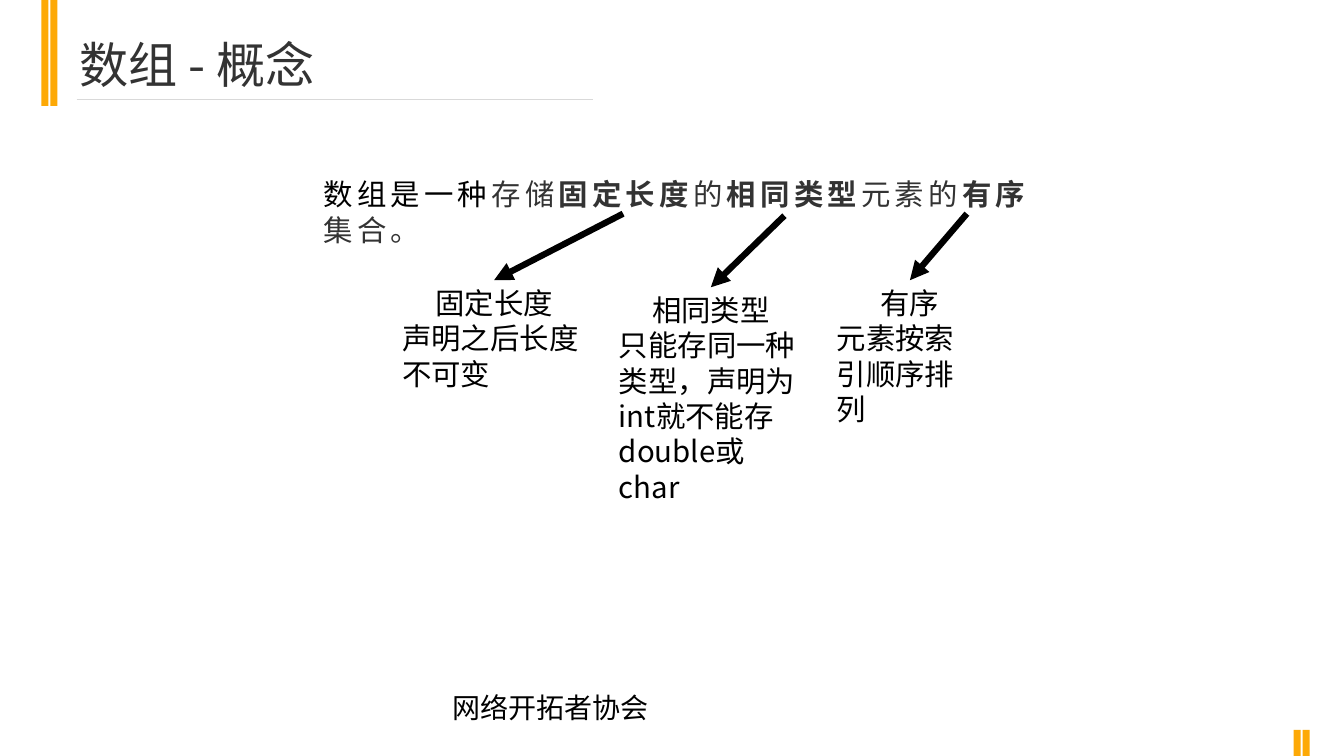
from lxml.etree import SubElement
from pptx import Presentation
from pptx.dml.color import RGBColor
from pptx.enum.shapes import MSO_CONNECTOR as Connector, MSO_SHAPE as Shape
from pptx.enum.text import MSO_ANCHOR as Anchor, MSO_AUTO_SIZE as AutoSize, PP_ALIGN as Align
from pptx.oxml.ns import qn
from pptx.util import Inches, Pt

FONT = "Noto Sans CJK SC"
COLORS = {"text": "000000", "title": "333333", "accent": "FDA907", "rule": "D9D9D9"}
TITLE = "数组 - 概念"
FOOTER = "网络开拓者协会"
DEFINITION = [
    ("数组是一种", "text", False, 3),
    ("存储", "title", False, 3),
    ("固定长度", "title", True, 3),
    ("的", "title", False, 3),
    ("相同类型", "title", True, 3),
    ("元素的", "title", False, 3),
    ("有序", "title", True, 3),
    ("集合", "title", False, 3),
    ("。", "title", False, 0),
]
NOTES = [
    ("固定长度", "声明之后长度不可变", (3.89, 2.78, 2.02, 1.16), (6.18, 2.12)),
    ("相同类型", "只能存同一种类型，声明为int就不能存double或char", (6.04, 2.85, 2.02, 2.22), (7.78, 2.14)),
    ("有序", "元素按索引顺序排列", (8.2, 2.78, 1.65, 1.51), (9.59, 2.12)),
]
BAR_WIDTH = 0.07
BARS = [(0.41, 0, 1.05, 0), (0.5, 0, 1.05, 0), (12.92, 7.24, 0.26, 180), (12.83, 7.24, 0.26, 180)]


def color(name):
    return RGBColor.from_string(COLORS[name])


def add_run(paragraph, text, size, color_name="text", bold=False, spacing=0):
    run = paragraph.add_run()
    run.text = text
    run.font.size = Pt(size)
    run.font.bold = bold
    run.font.color.rgb = color(color_name)
    run.font.name = FONT
    properties = run._r.get_or_add_rPr()
    SubElement(properties, qn("a:ea")).set("typeface", FONT)
    if spacing:
        properties.set("spc", str(spacing * 100))


def add_text_box(slide, box, auto_size=AutoSize.SHAPE_TO_FIT_TEXT):
    shape = slide.shapes.add_textbox(*map(Inches, box))
    shape.text_frame.word_wrap = True
    shape.text_frame.auto_size = auto_size
    return shape


def add_line(slide, start, end, color_name, width):
    line = slide.shapes.add_connector(Connector.STRAIGHT, *map(Inches, start + end))
    line.line.color.rgb = color(color_name)
    line.line.width = Pt(width)
    SubElement(line._element.spPr, qn("a:effectLst"))
    return line


def add_frame(slide):
    footer = add_text_box(slide, (4.39, 6.8, 3.82, 0.44))
    add_run(footer.text_frame.paragraphs[0], FOOTER, 20)
    for left, top, height, rotation in BARS:
        bar = slide.shapes.add_shape(Shape.RECTANGLE, *map(Inches, (left, top, BAR_WIDTH, height)))
        bar.rotation = rotation
        bar.shadow.inherit = False
        bar.fill.solid()
        bar.fill.fore_color.rgb = color("accent")
        bar.line.fill.background()
    add_line(slide, (0.76, 0.99), (5.88, 0.99), "rule", 0.5)


def add_note(slide, heading, detail, box, start):
    note = add_text_box(slide, box)
    first = note.text_frame.paragraphs[0]
    first.alignment = Align.CENTER
    add_run(first, heading, 21)
    add_run(note.text_frame.add_paragraph(), detail, 21)
    left, top, width, _ = box
    arrow = add_line(slide, start, (left + width / 2, top), "text", 4.5)
    arrow.end_connect(note, 0)
    SubElement(arrow.line._get_or_add_ln(), qn("a:tailEnd")).set("type", "triangle")


def main():
    presentation = Presentation()
    presentation.slide_width = Inches(13.33)
    presentation.slide_height = Inches(7.5)
    slide = presentation.slides.add_slide(presentation.slide_layouts[6])
    add_frame(slide)

    title = add_text_box(slide, (0.69, 0.35, 6.85, 0.65), AutoSize.NONE)
    title.text_frame.vertical_anchor = Anchor.MIDDLE
    title.text_frame.paragraphs[0].line_spacing = 0.9
    add_run(title.text_frame.paragraphs[0], TITLE, 35.1, "title")

    definition = add_text_box(slide, (3.11, 1.7, 7.19, 0.81))
    for text, color_name, bold, spacing in DEFINITION:
        add_run(definition.text_frame.paragraphs[0], text, 21, color_name, bold, spacing)

    for note in NOTES:
        add_note(slide, *note)
    presentation.save("out.pptx")


if __name__ == "__main__":
    main()
